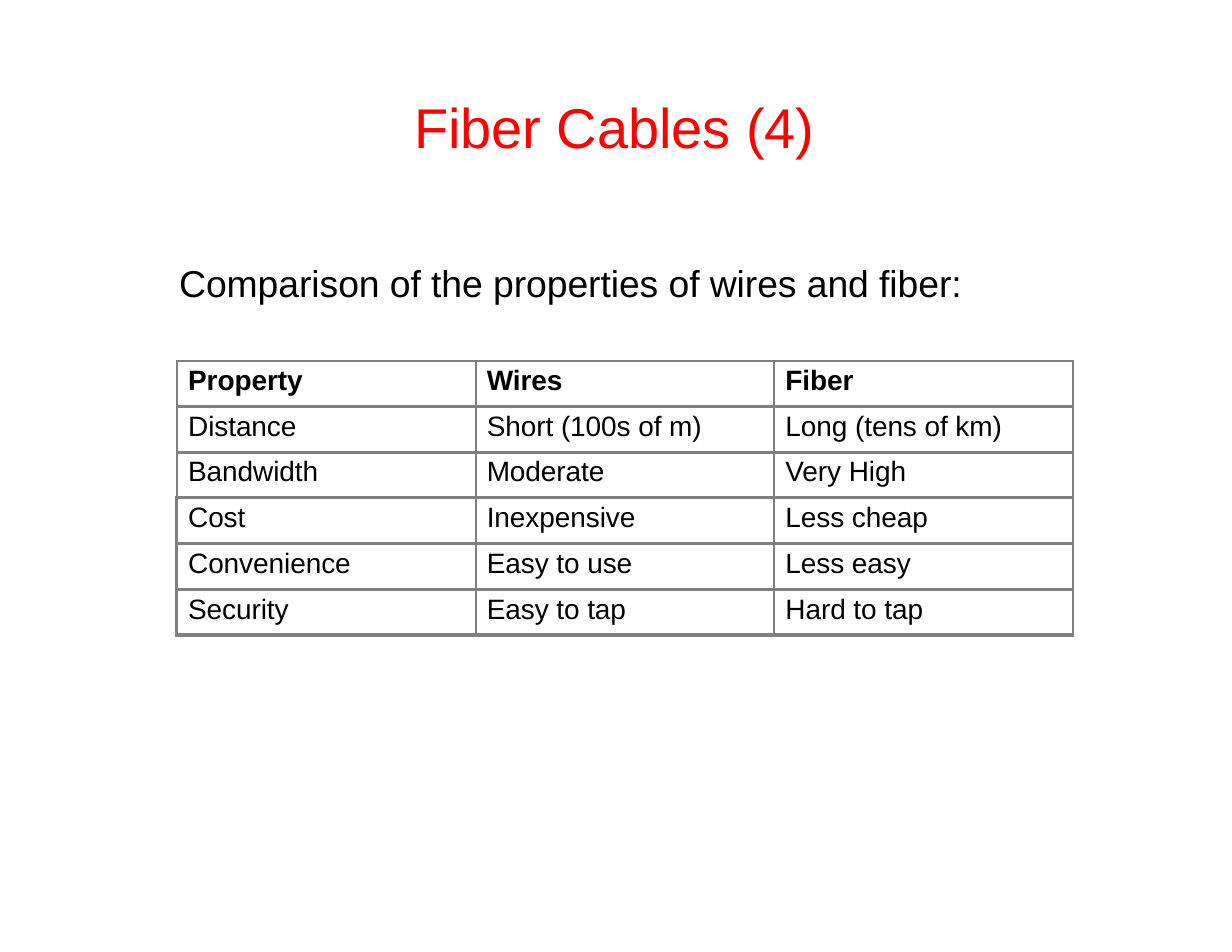
"""Build the slide comparing the properties of wires and fiber."""
import pptx
import pptx.dml.color
import pptx.enum.shapes
import pptx.oxml
import pptx.oxml.ns
import pptx.util
from pptx.util import Inches

RED = pptx.dml.color.RGBColor(0xFF, 0x00, 0x00)
BLACK = pptx.dml.color.RGBColor(0x00, 0x00, 0x00)
WHITE = pptx.dml.color.RGBColor(0xFF, 0xFF, 0xFF)
GRAY = pptx.dml.color.RGBColor(0x7F, 0x7F, 0x7F)

ROWS = [
    ("Property", "Wires", "Fiber"),
    ("Distance", "Short (100s of m)", "Long (tens of km)"),
    ("Bandwidth", "Moderate", "Very High"),
    ("Cost", "Inexpensive", "Less cheap"),
    ("Convenience", "Easy to use", "Less easy"),
    ("Security", "Easy to tap", "Hard to tap"),
]


def write(para, text, size, color, bold=False):
    span = para.add_run()
    span.text = text
    span._r.get_or_add_rPr().set("spc", "-5")
    para.font.name = "Arial"
    para.font.size = pptx.util.Pt(size)
    para.font.color.rgb = color
    para.font.bold = bold


def add_border(cell, side, width):
    cell._tc.get_or_add_tcPr().append(pptx.oxml.parse_xml(
        f'<a:{side} {pptx.oxml.ns.nsdecls("a")} w="{pptx.util.Pt(width)}">'
        f'<a:solidFill><a:srgbClr val="{GRAY}"/></a:solidFill>'
        f'<a:prstDash val="solid"/></a:{side}>'))


deck = pptx.Presentation()
deck.slide_width = Inches(11)
deck.slide_height = Inches(8.5)
page = deck.slides.add_slide(deck.slide_layouts[6])

panel = page.shapes.add_shape(
    pptx.enum.shapes.MSO_SHAPE.RECTANGLE,
    Inches(0.5), Inches(4.78), Inches(10), Inches(1.07))
panel.shadow.inherit = False
panel.fill.solid()
panel.fill.fore_color.rgb = WHITE
panel.line.fill.background()

for text, left, top, width, height, size, color in [
    ("Fiber Cables (4)", 3.69, 0.8, 3.61, 0.63, 36, RED),
    ("Comparison of the properties of wires and fiber:",
     1.59, 2.29, 7.05, 0.43, 24, BLACK),
]:
    box = page.shapes.add_textbox(
        Inches(left), Inches(top), Inches(width), Inches(height))
    frame = box.text_frame
    frame.word_wrap = True
    frame.margin_left = frame.margin_right = frame.margin_bottom = 0
    frame.margin_top = Inches(0.03)
    write(frame.paragraphs[0], text, size, color)
    frame.paragraphs[0]._p.get_or_add_pPr().set("marL", str(Inches(0.01)))

table = page.shapes.add_table(
    len(ROWS), 3, Inches(1.58), Inches(3.22), Inches(8), Inches(2.45)).table
table.horz_banding = False
for row_index, texts in enumerate(ROWS):
    for column_index, text in enumerate(texts):
        cell = table.cell(row_index, column_index)
        cell.margin_left = Inches(0.1)
        cell.margin_right = cell.margin_bottom = 0
        cell.margin_top = Inches(0.04)
        write(cell.text_frame.paragraphs[0], text, 18, BLACK, row_index == 0)
        add_border(cell, "lnL", 2.25 if column_index == 0 and row_index > 2 else 1.5)
        add_border(cell, "lnR", 1.5)
        add_border(cell, "lnT", 1.5 if row_index == 0 else 2.25)
        add_border(cell, "lnB", 2.25)
        cell.fill.background()

deck.save("out.pptx")
